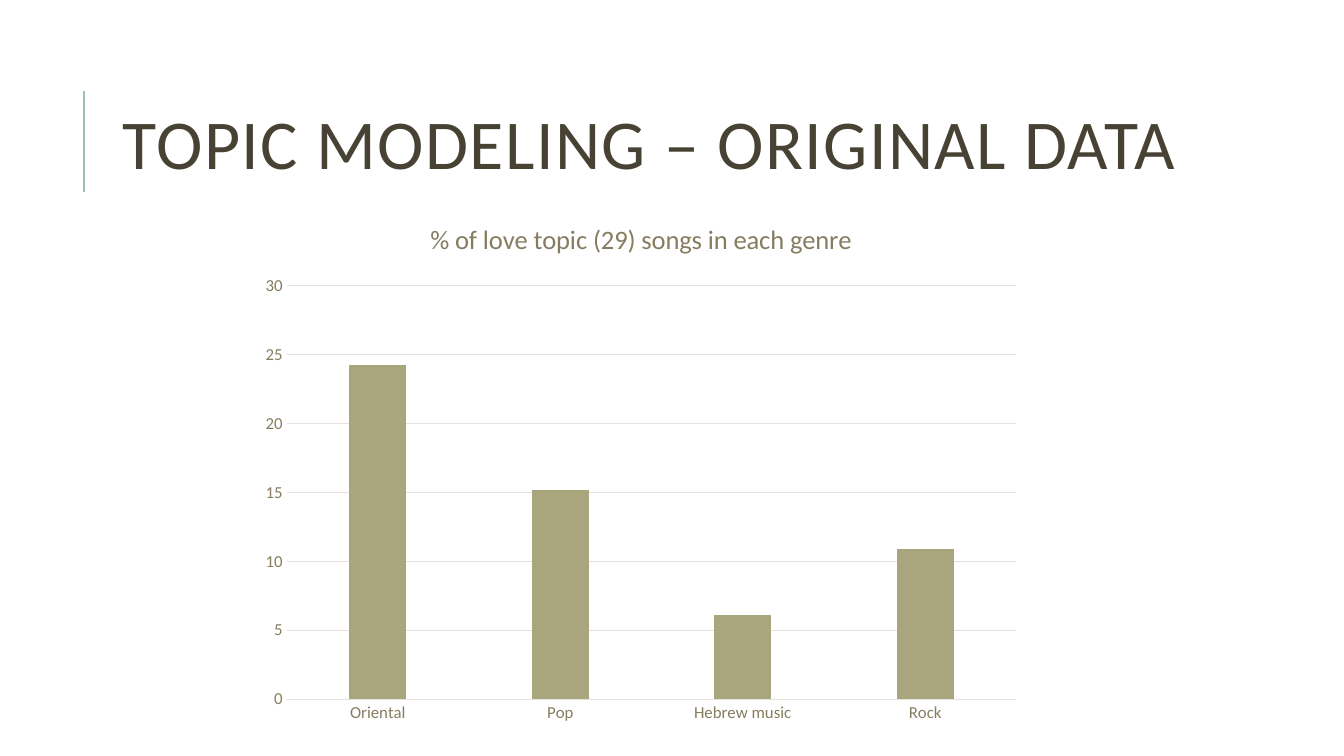
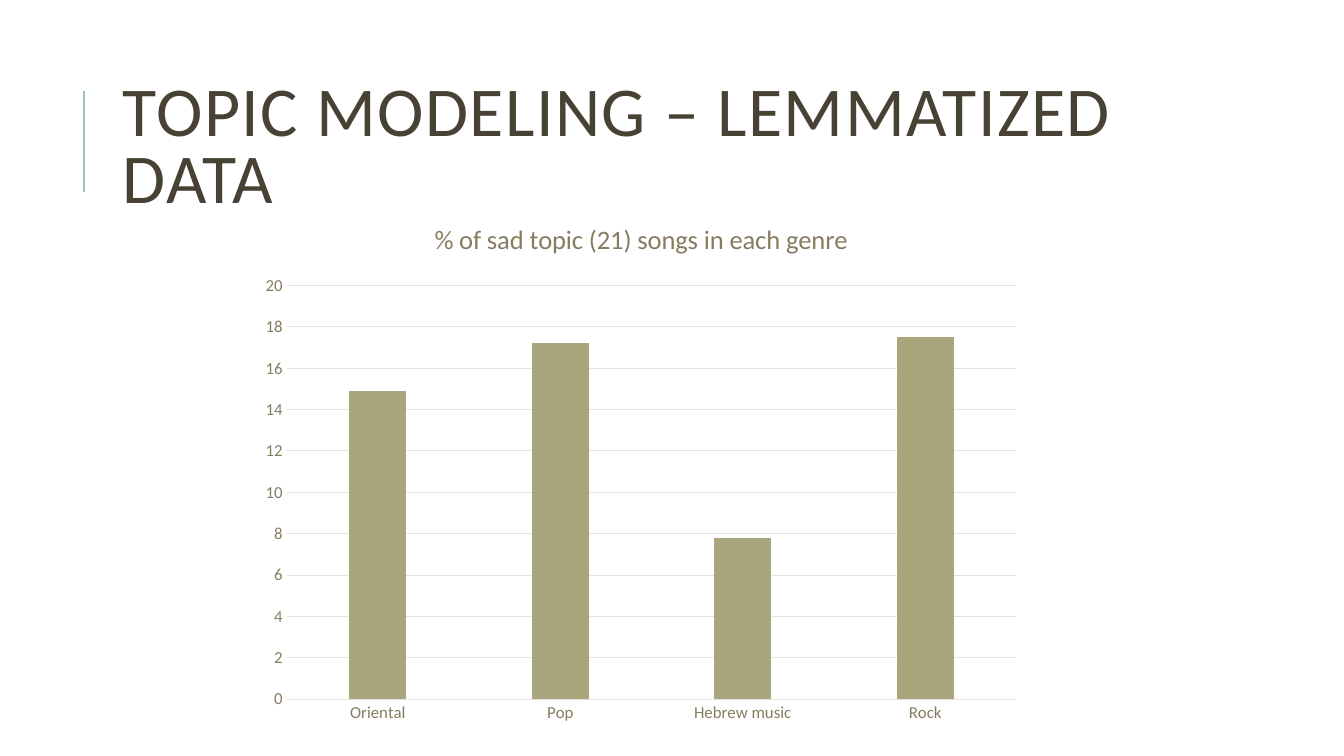
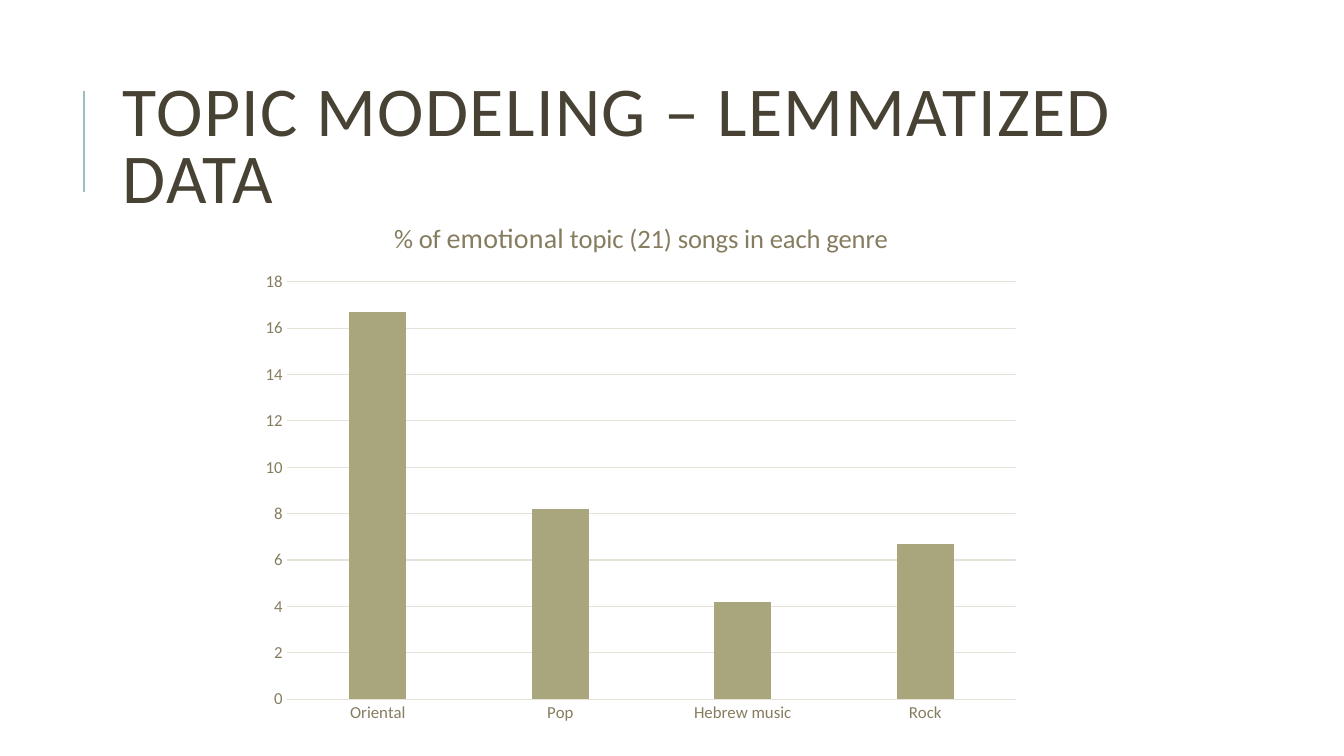
from dataclasses import dataclass

from lxml import etree
from pptx import Presentation
from pptx.chart.data import CategoryChartData
from pptx.dml.color import RGBColor
from pptx.enum.chart import XL_CHART_TYPE, XL_TICK_MARK
from pptx.enum.shapes import MSO_CONNECTOR
from pptx.enum.text import MSO_ANCHOR, MSO_AUTO_SIZE, PP_ALIGN
from pptx.oxml.ns import qn
from pptx.util import Cm, Pt

COLUMNS = XL_CHART_TYPE.COLUMN_CLUSTERED
NO_TICK = XL_TICK_MARK.NONE
STRAIGHT = MSO_CONNECTOR.STRAIGHT
MIDDLE = MSO_ANCHOR.MIDDLE
NO_FIT = MSO_AUTO_SIZE.NONE
LEFT = PP_ALIGN.LEFT


@dataclass(frozen=True)
class Theme:
    font: str = "Calibri"
    title: RGBColor = RGBColor(0x47, 0x42, 0x33)
    accent: RGBColor = RGBColor(0x9C, 0xBE, 0xBD)
    label: RGBColor = RGBColor(0x86, 0x7D, 0x60)
    grid: RGBColor = RGBColor(0xE4, 0xE2, 0xD9)
    bar: RGBColor = RGBColor(0xA9, 0xA5, 0x7C)
    title_size: float = 50
    chart_title_size: float = 19
    emphasis_size: float = 20
    label_size: float = 12


THEME = Theme()
GENRES = ["Oriental", "Pop", "Hebrew music", "Rock"]
SLIDES = [
    ("TOPIC MODELING – ORIGINAL DATA",
     [("% of love topic (29) songs in each genre", THEME.chart_title_size)],
     [24.2, 15.2, 6.1, 10.9]),
    ("TOPIC MODELING – LEMMATIZED DATA",
     [("% of sad topic (21) songs in each genre", THEME.chart_title_size)],
     [14.9, 17.2, 7.8, 17.5]),
    ("TOPIC MODELING – LEMMATIZED DATA",
     [("% of ", THEME.chart_title_size),
      ("emotional", THEME.emphasis_size),
      (" topic (21) songs in each genre", THEME.chart_title_size)],
     [16.7, 8.2, 4.2, 6.7]),
]


def set_attrs(target, **values):
    for name, value in values.items():
        setattr(target, name, value)


def format_font(font, size, color):
    set_attrs(font, name=THEME.font, size=Pt(size), bold=False)
    font.color.rgb = color


def format_line(line, color, width):
    line.color.rgb = color
    line.width = Pt(width)


def place_title(layout):
    title = layout.placeholders[0]
    set_attrs(title, left=Cm(2.84), top=Cm(1.63), width=Cm(28.78), height=Cm(4.29))


def add_side_rule(s, layout):
    rule = s.shapes.add_connector(STRAIGHT, Cm(2.12), Cm(4.83), Cm(2.12), Cm(2.29))
    format_line(rule.line, THEME.accent, 1.5)
    etree.SubElement(rule._element.spPr, qn("a:effectLst"))
    layout.shapes._spTree.append(rule._element)


def write_title(s, text):
    tf = s.shapes.title.text_frame
    set_attrs(tf, word_wrap=True, auto_size=NO_FIT, vertical_anchor=MIDDLE)
    p = tf.paragraphs[0]
    set_attrs(p, alignment=LEFT, line_spacing=0.8)
    r = p.add_run()
    r.text = text
    format_font(r.font, THEME.title_size, THEME.title)
    r.font._element.set("spc", "100")


def write_chart_title(chart, runs):
    p = chart.chart_title.text_frame.paragraphs[0]
    for text, size in runs:
        r = p.add_run()
        r.text = text
        format_font(r.font, size, THEME.label)
    chart.chart_title.include_in_layout = False


def format_axis(axis):
    set_attrs(axis, major_tick_mark=NO_TICK, minor_tick_mark=NO_TICK)
    format_font(axis.tick_labels.font, THEME.label_size, THEME.label)


def add_genre_chart(s, title_runs, values):
    data = CategoryChartData(number_format="General")
    data.categories = GENRES
    data.add_series("Series 1", values)
    chart = s.shapes.add_chart(
        COLUMNS, Cm(6.3), Cm(5.05), Cm(19.71), Cm(13.44), data).chart
    chart.has_legend = False
    format_font(chart.font, THEME.label_size, THEME.label)
    write_chart_title(chart, title_runs)

    for axis in (chart.category_axis, chart.value_axis):
        format_axis(axis)
    format_line(chart.category_axis.format.line, THEME.grid, 0.75)
    chart.value_axis.format.line.fill.background()
    format_line(chart.value_axis.major_gridlines.format.line, THEME.grid, 0.75)

    plot = chart.plots[0]
    set_attrs(plot, gap_width=219, overlap=-27, vary_by_categories=False)
    fill = plot.series[0].format.fill
    fill.solid()
    fill.fore_color.rgb = THEME.bar


def main():
    prs = Presentation()
    set_attrs(prs, slide_width=Cm(33.87), slide_height=Cm(19.05))
    layout = prs.slide_layouts[5]
    place_title(layout)
    for number, (title, title_runs, values) in enumerate(SLIDES):
        s = prs.slides.add_slide(layout)
        if number == 0:
            add_side_rule(s, layout)
        write_title(s, title)
        add_genre_chart(s, title_runs, values)
    prs.save("out.pptx")


if __name__ == "__main__":
    main()
